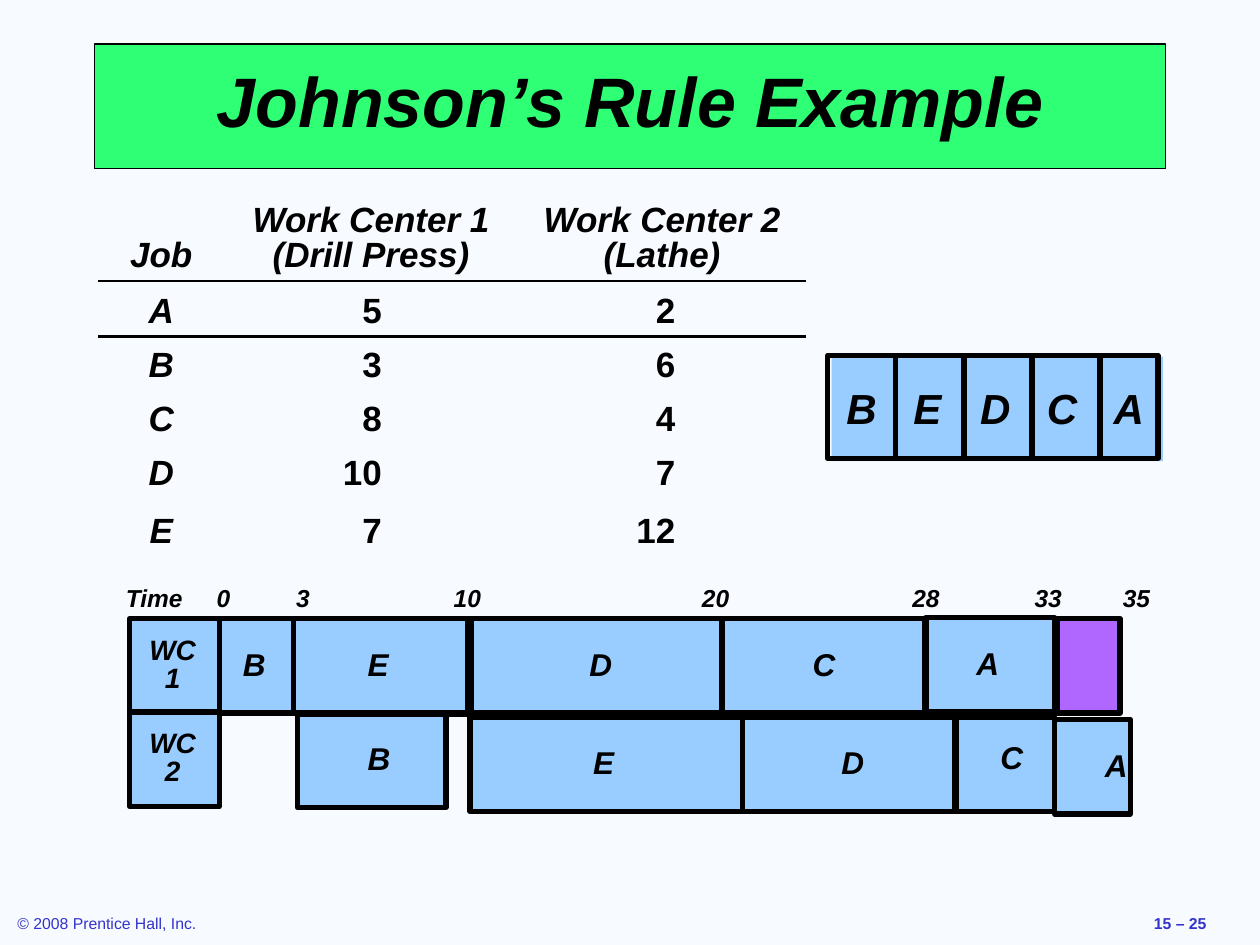
from dataclasses import dataclass
from typing import NamedTuple, Optional

import pptx
import pptx.dml.color
import pptx.enum.shapes
import pptx.enum.text
import pptx.oxml
import pptx.oxml.ns
import pptx.util

Inches = pptx.util.Inches
Pt = pptx.util.Pt
ALIGN = pptx.enum.text.PP_ALIGN
ANCHOR = pptx.enum.text.MSO_ANCHOR
RECTANGLE = pptx.enum.shapes.MSO_SHAPE.RECTANGLE
NAMESPACE = pptx.oxml.ns.nsdecls("a")


@dataclass(frozen=True)
class Theme:
    font: str = "Arial"
    background: str = "F7FBFF"
    ink: str = "000000"
    footer: str = "3333CC"
    banner: str = "2FFF74"
    job: str = "99CCFF"
    idle: str = "AF67FF"
    title_size: float = 40
    sequence_size: float = 24
    table_size: float = 20
    bar_size: float = 18
    center_size: float = 16
    time_size: float = 14
    footer_size: float = 9
    outline: float = 3
    thin: float = 0.75
    rule: float = 1.5


THEME = Theme()


class Area(NamedTuple):
    left: float
    top: float
    width: float
    height: float


class Bar(NamedTuple):
    job: Optional[str]
    left: float
    top: float
    width: float
    label_left: float = 0
    label_drop: float = 0.16


class Style(NamedTuple):
    size: float
    color: str = THEME.ink
    bold: bool = True
    italic: bool = True
    align: Optional[ALIGN] = None
    spacing: Optional[float] = None
    tabs: tuple = ()


def rgb(color: str):
    return pptx.dml.color.RGBColor.from_string(color)


def apply(target, values: dict) -> None:
    for attribute, value in values.items():
        setattr(target, attribute, value)


def write(frame, text: str, style: Style) -> None:
    paragraph = frame.paragraphs[0]
    apply(paragraph, {"alignment": style.align, "line_spacing": style.spacing})
    if style.tabs:
        stops = "".join(f'<a:tab pos="{Inches(stop)}" algn="r"/>' for stop in style.tabs)
        paragraph._p.get_or_add_pPr().append(
            pptx.oxml.parse_xml(f"<a:tabLst {NAMESPACE}>{stops}</a:tabLst>"))
    run = paragraph.add_run()
    run.text = text
    apply(run.font, {"name": THEME.font, "size": Pt(style.size),
                     "bold": style.bold, "italic": style.italic})
    run.font.color.rgb = rgb(style.color)


def add_text(shapes, area: Area, text: str, style: Style, wrap: bool = False) -> None:
    frame = shapes.add_textbox(*map(Inches, area)).text_frame
    frame.word_wrap = wrap
    write(frame, text, style)


def add_box(shapes, area: Area, fill: Optional[str], outline: float = THEME.outline):
    box = shapes.add_shape(RECTANGLE, *map(Inches, area))
    box.shadow.inherit = False
    if fill:
        box.fill.solid()
        box.fill.fore_color.rgb = rgb(fill)
    else:
        box.fill.background()
    if outline:
        box.line.color.rgb = rgb(THEME.ink)
        box.line.width = Pt(outline)
    else:
        box.line.fill.background()
    return box


def add_divider(shapes, x: float, top: float, bottom: float) -> None:
    divider = shapes.add_connector(pptx.enum.shapes.MSO_CONNECTOR.STRAIGHT,
                                   *map(Inches, (x, top, x, bottom)))
    divider.line.color.rgb = rgb(THEME.ink)
    divider.line.width = Pt(THEME.outline)
    divider._element.spPr.append(pptx.oxml.parse_xml(f"<a:effectLst {NAMESPACE}/>"))


def add_bar(slide, bar: Bar) -> None:
    parts = slide.shapes.add_group_shape().shapes
    add_box(parts, Area(bar.left, bar.top, bar.width, BAR_HEIGHT), THEME.job)
    if bar.job:
        label = Area(bar.label_left, bar.top + bar.label_drop, 0.38, 0.4)
        add_text(parts, label, bar.job, Style(THEME.bar_size))


def add_job_table(slide) -> None:
    area = Area(0.78, 1.49, 5.62, 2.93)
    frame = slide.shapes.add_table(len(JOBS) + 1, 3, *map(Inches, area))
    table = frame.table
    apply(table, {"first_row": False, "horz_banding": False})
    style_id = table._tbl.tblPr.find(pptx.oxml.ns.qn("a:tableStyleId"))
    style_id.text = "{2D5ABB26-0587-4C30-8999-92F81FD0307C}"
    for column, width in zip(table.columns, (1, 2.33, 2.29)):
        column.width = Inches(width)
    for row, height in zip(table.rows, (0.74, 0.44, 0.43, 0.43, 0.43, 0.46)):
        row.height = Inches(height)

    centered = Style(THEME.table_size, align=ALIGN.CENTER, spacing=0.9)
    number = Style(THEME.table_size, italic=False, spacing=0.9, tabs=(1.15,))
    for r, values in enumerate((HEADINGS, *JOBS)):
        for c, value in enumerate(values):
            cell = table.cell(r, c)
            cell.vertical_anchor = ANCHOR.BOTTOM
            cell.fill.background()
            if isinstance(value, int):
                write(cell.text_frame, f"\t{value}", number)
            else:
                write(cell.text_frame, value, centered)
            if r < 2:
                edge = "lnB" if r == 0 else "lnT"
                cell._tc.get_or_add_tcPr().insert(0, pptx.oxml.parse_xml(
                    f'<a:{edge} {NAMESPACE} w="{Pt(THEME.rule)}"><a:solidFill>'
                    f'<a:srgbClr val="{THEME.ink}"/></a:solidFill></a:{edge}>'))


def add_sequence(slide) -> None:
    parts = slide.shapes.add_group_shape().shapes
    pitch = 0.54
    add_box(parts, Area(6.6, 2.83, 2.63, 0.83), THEME.job, outline=0)
    for i, job in enumerate("BEDCA"):
        add_text(parts, Area(6.62 + i * 0.53, 2.99, 0.44, 0.5), job,
                 Style(THEME.sequence_size))
    add_box(parts, Area(6.57, 2.82, 2.62, 0.82), None)
    for i in range(4):
        add_divider(parts, 7.11 + i * pitch, 2.84, 3.66)


def add_work_centers(slide) -> None:
    parts = slide.shapes.add_group_shape().shapes
    style = Style(THEME.center_size, align=ALIGN.CENTER, spacing=0.85)
    for number, top in ((1, 4.91), (2, 5.65)):
        add_box(parts, Area(1.03, top, 0.71, BAR_HEIGHT), THEME.job)
        add_text(parts, Area(1.07, top + 0.1, 0.6, 0.56), f"WC {number}", style, wrap=True)


HEADINGS = ("Job", "Work Center 1 (Drill Press)", "Work Center 2 (Lathe)")
JOBS = (("A", 5, 2), ("B", 3, 6), ("C", 8, 4), ("D", 10, 7), ("E", 7, 12))
BAR_HEIGHT = 0.75
BARS = (
    Bar("B", 1.74, 4.91, 0.59, 1.83),
    Bar("A", 7.35, 4.9, 1.02, 7.65),
    Bar("C", 5.72, 4.91, 1.62, 6.35),
    Bar("D", 3.72, 4.91, 2.01, 4.58),
    Bar("E", 3.73, 5.69, 2.17, 4.61),
    Bar("B", 2.36, 5.66, 1.18, 2.82),
    Bar(None, 2.36, 4.92, 1.38),
    Bar("E", 2.33, 4.91, 1.38, 2.82),
    Bar("D", 5.89, 5.69, 1.69, 6.58),
    Bar("C", 7.59, 5.69, 0.78, 7.84, 0.12),
    Bar("A", 8.37, 5.71, 0.6, 8.67),
)
TIME_STOPS = {0: 0.83, 3: 1.46, 10: 2.82, 20: 4.79, 28: 6.46, 33: 7.43, 35: 8.13}


def main() -> None:
    deck = pptx.Presentation()
    apply(deck, {"slide_width": Inches(10), "slide_height": Inches(7.5)})
    slide = deck.slides.add_slide(deck.slide_layouts[6])
    slide.background.fill.solid()
    slide.background.fill.fore_color.rgb = rgb(THEME.background)

    # Footer
    footer = Style(THEME.footer_size, THEME.footer, bold=False, italic=False)
    add_text(slide.shapes, Area(0.04, 7.2, 1.62, 0.25), "© 2008 Prentice Hall, Inc.", footer)
    add_text(slide.shapes, Area(9.06, 7.2, 0.62, 0.25), "15 – 25", footer._replace(bold=True))

    # Title banner
    banner = add_box(slide.shapes, Area(0.75, 0.35, 8.5, 0.99), THEME.banner, THEME.thin)
    banner.text_frame.vertical_anchor = ANCHOR.MIDDLE
    write(banner.text_frame, "Johnson’s Rule Example",
          Style(THEME.title_size, align=ALIGN.CENTER, spacing=0.85))

    # Job times and resulting sequence
    add_job_table(slide)
    add_sequence(slide)

    # Schedule: idle time, time scale, work centers and jobs
    add_box(slide.shapes, Area(8.39, 4.91, 0.5, BAR_HEIGHT), THEME.idle)
    add_text(slide.shapes, Area(0.9, 4.58, 8.83, 0.33), "\t".join(["Time", *map(str, TIME_STOPS)]),
             Style(THEME.time_size, tabs=tuple(TIME_STOPS.values())), wrap=True)
    add_work_centers(slide)
    for bar in BARS:
        add_bar(slide, bar)

    deck.save("out.pptx")


if __name__ == "__main__":
    main()
